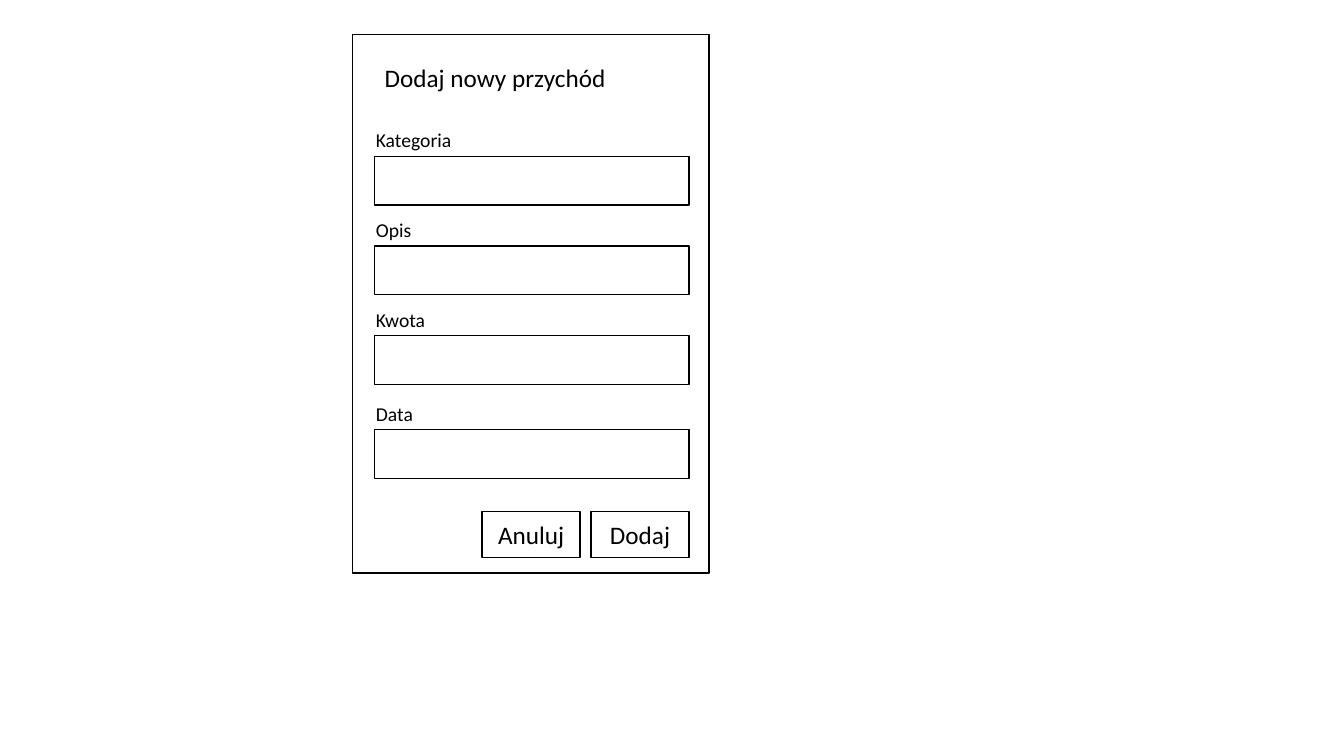
from pptx import Presentation
from pptx.dml.color import RGBColor
from pptx.enum.shapes import MSO_SHAPE as Shape
from pptx.enum.text import MSO_ANCHOR as Anchor, PP_ALIGN as Align
from pptx.util import Pt

TITLE = "Dodaj nowy przychód"
FIELDS = [("Kategoria", 111.6), ("Opis", 175.7), ("Kwota", 239.8), ("Data", 306.9)]
BUTTONS = ["Anuluj", "Dodaj"]
COLORS = {"paper": "FFFFFF", "ink": "000000"}
FONT = "Calibri"

FIELD_LEFT, FIELD_WIDTH, FIELD_HEIGHT = 267.7, 224.6, 34.9
LABEL_LEFT, LABEL_RISE = 261.4, 23.6
TEXT_WIDTH = 196.6
BUTTON_LEFT, BUTTON_TOP, BUTTON_STEP = 344.4, 365.2, 77.8
BUTTON_WIDTH, BUTTON_HEIGHT = 70, 33

deck = Presentation()
deck.slide_width, deck.slide_height = Pt(960), Pt(540)
page = deck.slides.add_slide(deck.slide_layouts[6])


def write(box, text, size=18, align=Align.LEFT, anchor=Anchor.TOP):
    frame = box.text_frame
    frame.word_wrap = True
    frame.vertical_anchor = anchor
    para = frame.paragraphs[0]
    para.alignment = align
    span = para.add_run()
    span.text = text
    span.font.name = FONT
    span.font.size = Pt(size)
    span.font.color.rgb = RGBColor.from_string(COLORS["ink"])


def add_text(text, left, top, height, **style):
    box = page.shapes.add_textbox(Pt(left), Pt(top), Pt(TEXT_WIDTH), Pt(height))
    write(box, text, **style)


def add_frame(left, top, width, height):
    box = page.shapes.add_shape(Shape.RECTANGLE, Pt(left), Pt(top), Pt(width), Pt(height))
    box.shadow.inherit = False
    box.fill.solid()
    box.fill.fore_color.rgb = RGBColor.from_string(COLORS["paper"])
    box.line.color.rgb = RGBColor.from_string(COLORS["ink"])
    box.line.width = Pt(1)
    return box


add_frame(252, 24.6, 254.4, 384.6)
add_text(TITLE, FIELD_LEFT, 41.2, 29)

for label, top in FIELDS:
    add_frame(FIELD_LEFT, top, FIELD_WIDTH, FIELD_HEIGHT)
    add_text(label, LABEL_LEFT, top - LABEL_RISE, 24.2, size=14)

for index, caption in enumerate(BUTTONS):
    button = add_frame(BUTTON_LEFT + index * BUTTON_STEP, BUTTON_TOP, BUTTON_WIDTH, BUTTON_HEIGHT)
    write(button, caption, align=Align.CENTER, anchor=Anchor.MIDDLE)

deck.save("out.pptx")
